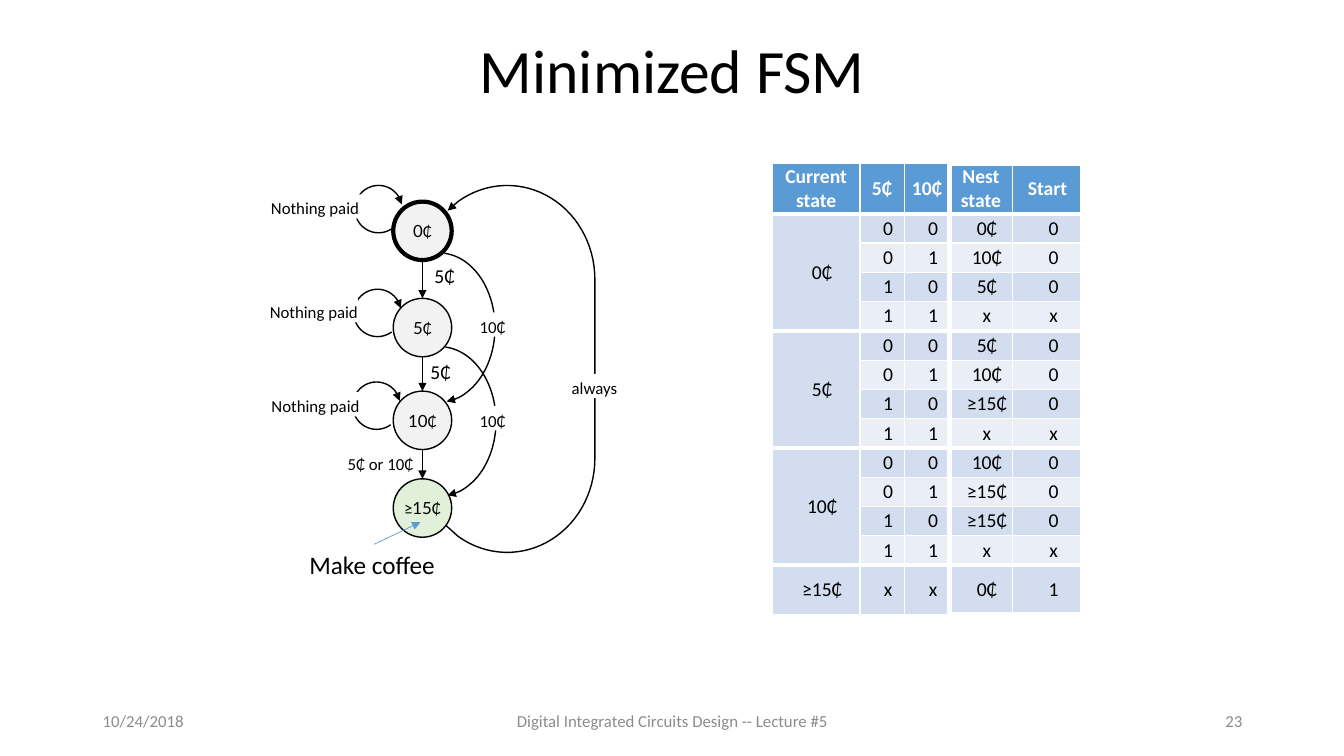
from math import cos, radians, sin

from lxml.etree import SubElement
from pptx import Presentation
from pptx.dml.color import RGBColor
from pptx.enum.shapes import MSO_CONNECTOR, MSO_SHAPE
from pptx.enum.text import MSO_ANCHOR, MSO_AUTO_SIZE, PP_ALIGN
from pptx.oxml.ns import qn
from pptx.util import Inches, Pt

COLORS = {"ink": "000000", "paper": "FFFFFF", "muted": "8C8C8C", "head": "5B9BD5",
          "band": "D2DEEF", "pale": "EAEFF7", "state": "F2F2F2", "final": "E2F0D9"}
ALIGN = {"l": PP_ALIGN.LEFT, "c": PP_ALIGN.CENTER, "r": PP_ALIGN.RIGHT}
CIRCLE = 5.8  # diameter of a state, in grid units
STATE_LEFT = 39
TABLE_HEADS = ["Current state", "5₵", "10₵", "Nest state", "Start"]
TRANSITIONS = {
    "0₵": ["0 0 0₵ 0", "0 1 10₵ 0", "1 0 5₵ 0", "1 1 x x"],
    "5₵": ["0 0 5₵ 0", "0 1 10₵ 0", "1 0 ≥15₵ 0", "1 1 x x"],
    "10₵": ["0 0 10₵ 0", "0 1 ≥15₵ 0", "1 0 ≥15₵ 0", "1 1 x x"],
    "≥15₵": ["x x 0₵ 1"],
}


def grid(*units):
    """Turn columns or rows of the tenth-inch grid into lengths."""
    return [Inches(unit / 10) for unit in units]


def rgb(name):
    """Look a colour up by its role."""
    return RGBColor.from_string(COLORS[name])


def apply(target, values):
    """Set every attribute named in a dict."""
    for name, value in values.items():
        setattr(target, name, value)


def write(frame, runs, size, color="ink", align="c", bold=False, **paragraph_format):
    """Fill a text frame with one paragraph of (text, font) runs."""
    paragraph = frame.paragraphs[0]
    apply(paragraph, {"alignment": ALIGN[align], **paragraph_format})
    for words, face in runs:
        run = paragraph.add_run()
        run.text = words
        apply(run.font, {"name": face, "size": Pt(size), "bold": bold})
        run.font.color.rgb = rgb(color)


def add_text(slide, place, words, size, wrap=True, anchor=MSO_ANCHOR.MIDDLE, **style):
    """Add a plain text box."""
    frame = slide.shapes.add_textbox(*grid(*place)).text_frame
    fit = MSO_AUTO_SIZE.NONE if wrap else MSO_AUTO_SIZE.SHAPE_TO_FIT_TEXT
    apply(frame, {"word_wrap": wrap, "vertical_anchor": anchor, "auto_size": fit})
    write(frame, [(words, "Calibri")], size, **style)


def set_stroke(line, color="ink", width=1, arrow=None):
    """Colour a line and put an arrowhead at its head or tail."""
    line.color.rgb = rgb(color)
    line.width = Pt(width)
    if arrow:
        SubElement(line.fill._xPr, qn(f"a:{arrow}End"), type="triangle")


def add_state(slide, top, runs, fill="state", width=1):
    """Add a state circle."""
    circle = slide.shapes.add_shape(MSO_SHAPE.OVAL, *grid(STATE_LEFT, top, CIRCLE, CIRCLE))
    circle.shadow.inherit = False
    circle.fill.solid()
    circle.fill.fore_color.rgb = rgb(fill)
    set_stroke(circle.line, width=width)
    apply(circle.text_frame, {"word_wrap": False, "vertical_anchor": MSO_ANCHOR.MIDDLE})
    write(circle.text_frame, runs, 12)


def add_arrow(slide, start, end, **stroke):
    """Add a straight arrow."""
    arrow = slide.shapes.add_connector(MSO_CONNECTOR.STRAIGHT, *grid(*start, *end))
    set_stroke(arrow.line, arrow="tail", **stroke)
    SubElement(arrow.element.spPr, qn("a:effectLst"))


def add_arc(slide, place, angles, flips, arrow):
    """Add a mirrored arc with an arrowhead."""
    arc = slide.shapes.add_shape(MSO_SHAPE.ARC, *grid(*place))
    arc.shadow.inherit = False
    arc.fill.background()
    for index, angle in enumerate(angles):
        arc.adjustments[index] = angle
    for flip in flips:
        arc.element.spPr.xfrm.set(flip, "1")
    set_stroke(arc.line, arrow=arrow)


def add_label(slide, place, words, align="c", **paragraph_format):
    """Add a white label that interrupts the line behind it."""
    label = slide.shapes.add_shape(MSO_SHAPE.RECTANGLE, *grid(*place))
    label.shadow.inherit = False
    label.fill.solid()
    label.fill.fore_color.rgb = rgb("paper")
    label.line.fill.background()
    apply(label.text_frame, {
        "margin_left": 0, "margin_top": Inches(0.04), "margin_right": 0, "margin_bottom": 0,
        "vertical_anchor": MSO_ANCHOR.MIDDLE, "word_wrap": True,
        "auto_size": MSO_AUTO_SIZE.SHAPE_TO_FIT_TEXT})
    write(label.text_frame, [(words, "Calibri")], 12, align=align, **paragraph_format)


def add_return_path(slide):
    """Draw the round path from the last state back to the first."""
    turns = [(45.5, range(124, -1, -4)), (27.7, range(0, -125, -4))]
    bends = [(50.3 + 8.7 * cos(radians(angle)), middle + 9.3 * sin(radians(angle)))
             for middle, angles in turns for angle in angles]
    points = [grid(*point) for point in [(44.2, 52.1), *bends, (44.4, 20.9)]]
    builder = slide.shapes.build_freeform(*points[0])
    builder.add_line_segments(points[1:], close=False)
    route = builder.convert_to_shape()
    route.shadow.inherit = False
    route.fill.background()
    set_stroke(route.line, arrow="tail")


def add_diagram(slide):
    """Draw the states and their transitions."""
    tops = [20, 29.6, 38.8, 47.5]
    for top, amount in zip(tops, ["0", "5", "10"]):
        add_state(slide, top, [(amount, "Lato"), ("₵", "Calibri")], width=1 if top > 20 else 3)
    add_state(slide, tops[-1], [("≥", "Calibri"), ("15", "Lato"), ("₵", "Calibri")], "final")
    axis = STATE_LEFT + CIRCLE / 2
    for top, following in zip(tops, tops[1:]):
        add_arrow(slide, (axis, top + CIRCLE), (axis, following))
    for left, top in [(35.2, 18.4), (35.1, 28.7), (35, 37.9)]:
        add_arc(slide, (left, top, 4.7, 4.7), (114.92, 75.89), ["flipH"], "head")
    for left, top in [(38, 25.1), (38.1, 34.4)]:
        add_arc(slide, (left, top, 11.1, 14.8), (56.5, 158.5), ["flipH", "flipV"], "tail")
        add_label(slide, (47.4, top + 5.9, 2.9, 2.4), "10₵")
    add_return_path(slide)
    for left, top, width, words, align in [
            (26.6, 19.3, 9.3, "Nothing paid", "c"), (25.2, 29.6, 10.3, "Nothing paid", "r"),
            (26.6, 38.9, 9.4, "Nothing paid", "c"), (32.1, 44.7, 8.9, "5₵ or 10₵", "r"),
            (54.4, 37.1, 9.1, "always", "c")]:
        add_label(slide, (left, top, width, 2.4), words, align, line_spacing=Pt(13.8))
    for left, top, width, height, words, size in [
            (42.1, 25.7, 4.1, 3.4, "5₵", 14), (41.7, 35.2, 4.1, 3.4, "5₵", 14),
            (29.7, 54, 14.6, 4, "Make coffee", 18)]:
        add_text(slide, (left, top, width, height), words, size, wrap=False,
                 anchor=MSO_ANCHOR.TOP, align="l")
    add_arrow(slide, (37.1, 54), (41.7, 51.8), color="head", width=0.5)


def set_borders(cell, widths):
    """Give the left, right, top and bottom edges of a cell white lines."""
    properties = cell._tc.get_or_add_tcPr()
    for side, width in zip("LRTB", widths):
        edge = SubElement(properties, qn(f"a:ln{side}"), w=str(Pt(width)))
        SubElement(SubElement(edge, qn("a:solidFill")), qn("a:srgbClr"), val=COLORS["paper"])


def add_state_table(slide):
    """Build the transition table, one merged block per current state."""
    rows, starts = [TABLE_HEADS], [0]
    for current, outcomes in TRANSITIONS.items():
        starts.append(len(rows))
        rows += [["" if index else current, *outcome.split()]
                 for index, outcome in enumerate(outcomes)]
    last = len(rows) - 1
    table = slide.shapes.add_table(len(rows), 5, *grid(76.6, 16.2, 30.8, 44.8)).table
    for column, width in zip(table.columns, grid(8.7, 4.4, 4.5, 6.2, 7)):
        column.width = width
    heights = [5, *[(44.8 - 9.9) / (last - 1)] * (last - 1), 4.9]
    for row, height in zip(table.rows, grid(*heights)):
        row.height = height
    for r, values in enumerate(rows):
        for c, words in enumerate(values):
            cell = table.cell(r, c)
            outer = 4.5 if c > 2 else 1
            set_borders(cell, [4.5 if c == 3 else 1, 4.5 if c in (2, 4) else 1,
                               outer if r == 0 else 3 if r in starts else 1,
                               outer if r == last else 3 if r + 1 in starts else 1])
            cell.fill.solid()
            cell.fill.fore_color.rgb = rgb(
                "head" if r == 0 else "band" if c == 0 or r % 2 else "pale")
            apply(cell, {"margin_left": Inches(0.12 if r else 0), "margin_right": 0,
                         "margin_top": 0, "margin_bottom": 0,
                         "vertical_anchor": MSO_ANCHOR.MIDDLE})
            if words:
                write(cell.text_frame, [(words, "Calibri")], 14,
                      color="ink" if r else "paper", bold=r == 0)
    for start, end in zip(starts[1:], starts[2:]):
        table.cell(start, 0).merge(table.cell(end - 1, 0))


def main():
    """Build and save the slide."""
    deck = Presentation()
    apply(deck, {"slide_width": Inches(13.33), "slide_height": Inches(7.5)})
    slide = deck.slides.add_slide(deck.slide_layouts[6])
    add_text(slide, (9.2, 3.3, 115, 7.9), "Minimized FSM", 44, line_spacing=0.9)
    for left, width, words, align in [
            (9.2, 30, "10/24/2018", "l"), (94.2, 30, "23", "r"),
            (44.2, 45, "Digital Integrated Circuits Design -- Lecture #5", "c")]:
        add_text(slide, (left, 69.5, width, 4), words, 12, color="muted", align=align)
    add_state_table(slide)
    add_diagram(slide)
    deck.save("out.pptx")


main()
